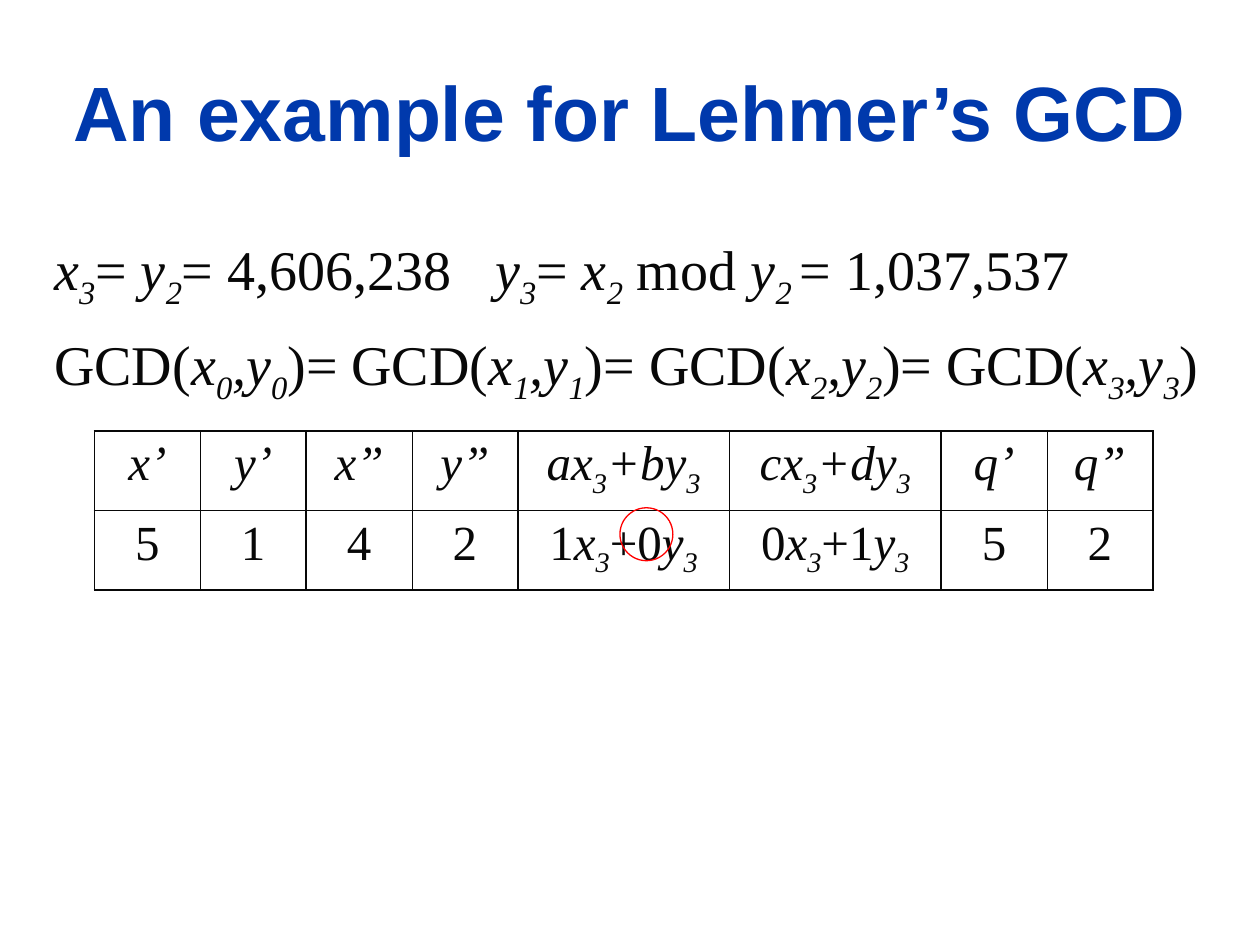
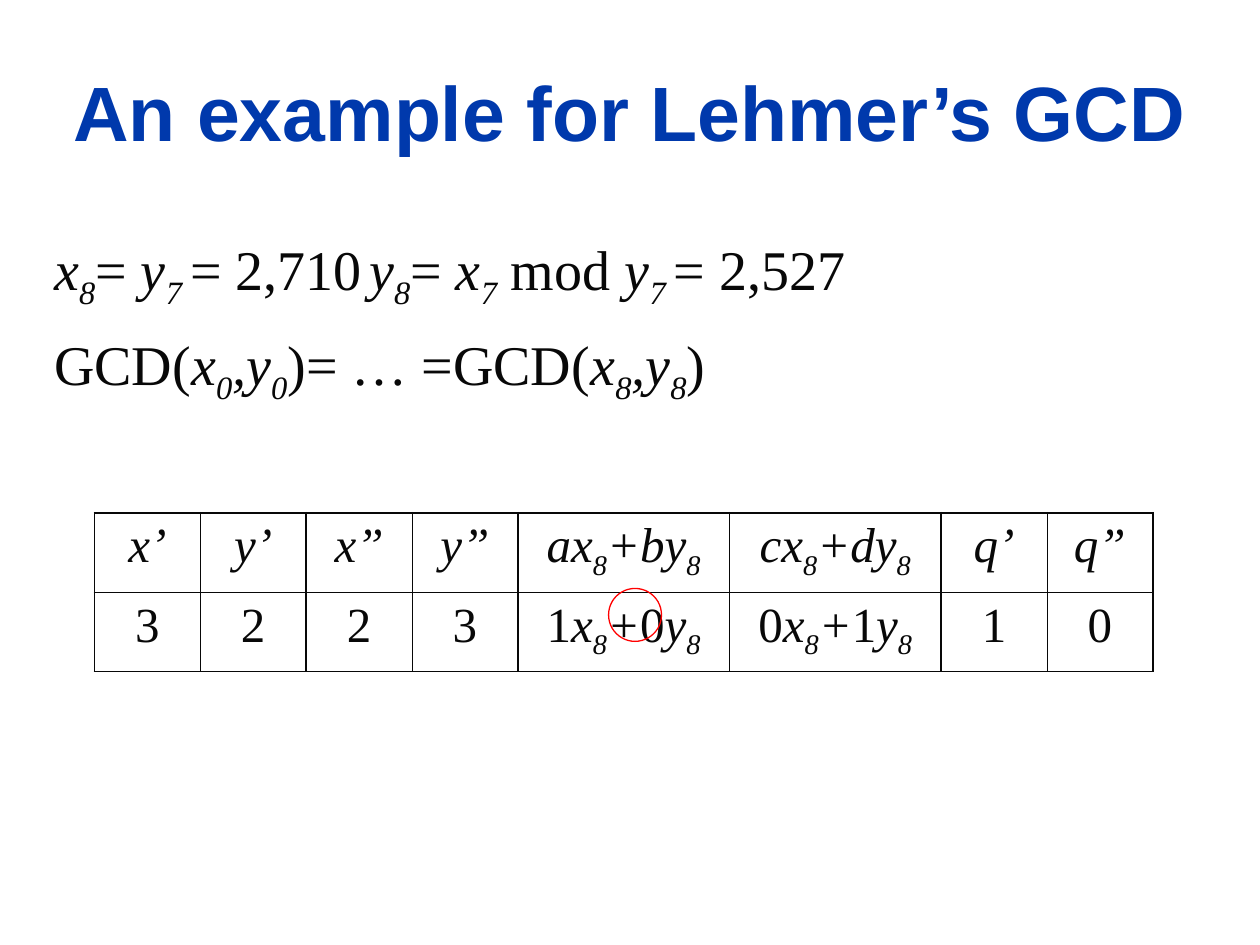
from lxml import etree
from pptx import Presentation
from pptx.dml.color import RGBColor
from pptx.enum.shapes import MSO_SHAPE
from pptx.enum.text import MSO_ANCHOR, MSO_AUTO_SIZE, PP_ALIGN
from pptx.oxml.ns import qn
from pptx.util import Inches, Pt

OVAL = MSO_SHAPE.OVAL
CENTER, LEFT = PP_ALIGN.CENTER, PP_ALIGN.LEFT
MIDDLE, TOP = MSO_ANCHOR.MIDDLE, MSO_ANCHOR.TOP
NO_FIT = MSO_AUTO_SIZE.NONE

COLORS = {"title": "0039AC", "text": "080808", "mark": "FF0000"}
TITLE_FONT, TEXT_FONT = "Arial", "Times New Roman"
TITLE = "An example for Lehmer’s GCD"
TITLE_BOX = (0.33, 0.25, 9.34, 1.25)
BODY_BOX = (0.33, 1.75, 9.34, 4.92)
TABLE_LEFT, ROW_HEIGHT = 0.75, 0.63
COLUMN_WIDTHS = [0.84] * 4 + [1.68] * 2 + [0.84] * 2
CIRCLE_SIZE = 0.42
THICK, THIN = Pt(1.08), Pt(0.45)

# In the markup, *...* is italic and _..._ is an italic subscript.
STEPS = [
    {
        "lines": [
            "*x*_3_= *y*_2_= 4,606,238\t*y*_3_= *x*_2_ mod *y*_2 _= 1,037,537",
            "GCD(*x*_0_*,y*_0_)= GCD(*x*_1_*,y*_1_)= "
            "GCD(*x*_2_*,y*_2_)= GCD(*x*_3_*,y*_3_)",
        ],
        "tab": 3.7,
        "index": 3,
        "values": ["5", "1", "4", "2", "1*x*_3_+0*y*_3_", "0*x*_3_+1*y*_3_", "5", "2"],
        "table_top": 3.42,
        "circle": (4.92, 4.03),
    },
    {
        "lines": [
            "*x*_8_= *y*_7 _= 2,710\t*y*_8_= *x*_7_ mod *y*_7 _= 2,527",
            "GCD(*x*_0_*,y*_0_)= … =GCD(*x*_8_*,y*_8_)",
        ],
        "tab": 2.98,
        "index": 8,
        "values": ["3", "2", "2", "3", "1*x*_8_*+*0*y*_8_", "0*x*_8_*+*1*y*_8_", "1", "0"],
        "table_top": 4.07,
        "circle": (4.83, 4.67),
    },
]


def rgb(name):
    return RGBColor.from_string(COLORS[name])


def place(shape, box):
    shape.left, shape.top, shape.width, shape.height = map(Inches, box)


def style_paragraph(para, font_name, size, color, align):
    para.alignment = align
    para.font.name = font_name
    para.font.size = Pt(size)
    para.font.color.rgb = rgb(color)


def add_span(para, text, italic, subscript=False):
    if not text:
        return
    span = para.add_run()
    span.text = text
    if italic:
        span.font.italic = True
    if subscript:
        span._r.get_or_add_rPr().set("baseline", "-25000")


def add_formula(para, markup):
    """Turn the formula markup into runs."""
    for place_no, piece in enumerate(markup.split("_")):
        if place_no % 2:
            add_span(para, piece, italic=True, subscript=True)
            continue
        for part_no, part in enumerate(piece.split("*")):
            add_span(para, part, italic=part_no % 2 == 1)


def fill_title(title, box):
    place(title, box)
    frame = title.text_frame
    frame.text = TITLE
    frame.vertical_anchor = MIDDLE
    frame.auto_size = NO_FIT
    para = frame.paragraphs[0]
    style_paragraph(para, TITLE_FONT, 44, "title", CENTER)
    para.font.bold = True


def set_plain_tabbed(para, tab):
    """Remove the bullet and indent, and set one left tab stop."""
    props = para._p.get_or_add_pPr()
    props.set("marL", "0")
    props.set("indent", "0")
    etree.SubElement(props, qn("a:buNone"))
    stops = etree.SubElement(props, qn("a:tabLst"))
    etree.SubElement(stops, qn("a:tab"), pos=str(Inches(tab)), algn="l")


def fill_body(body, box, lines, tab):
    place(body, box)
    frame = body.text_frame
    frame.vertical_anchor = TOP
    frame.auto_size = NO_FIT
    for number, line in enumerate(lines):
        para = frame.add_paragraph() if number else frame.paragraphs[0]
        set_plain_tabbed(para, tab)
        para.line_spacing = 1.1
        para.space_before = Pt(6 if number else 0)
        style_paragraph(para, TEXT_FONT, 32, "text", LEFT)
        add_formula(para, line)


def set_borders(cell, widths):
    props = cell._tc.get_or_add_tcPr()
    for number, (side, width) in enumerate(widths.items()):
        line = etree.Element(qn(f"a:ln{side}"), w=str(width))
        fill = etree.SubElement(line, qn("a:solidFill"))
        etree.SubElement(fill, qn("a:srgbClr"), val=COLORS["text"])
        props.insert(number, line)


def add_quotient_table(page, left, top, rows):
    frame = page.shapes.add_table(
        len(rows), len(COLUMN_WIDTHS), Inches(left), Inches(top),
        Inches(sum(COLUMN_WIDTHS)), Inches(ROW_HEIGHT * len(rows)))
    table = frame.table
    table.first_row = table.horz_banding = False
    for column, width in zip(table.columns, COLUMN_WIDTHS):
        column.width = Inches(width)
    for row_no, row in enumerate(rows):
        table.rows[row_no].height = Inches(ROW_HEIGHT)
        for column_no, markup in enumerate(row):
            cell = table.cell(row_no, column_no)
            cell.fill.background()
            para = cell.text_frame.paragraphs[0]
            style_paragraph(para, TEXT_FONT, 28, "text", CENTER)
            add_formula(para, markup)
            opens_pair = column_no % 2 == 0
            set_borders(cell, {
                "L": THICK if opens_pair else THIN,
                "R": THIN if opens_pair else THICK,
                "T": THIN if row_no else THICK,
                "B": THICK if row_no else THIN,
            })


def add_circle(page, left, top):
    circle = page.shapes.add_shape(
        OVAL, Inches(left), Inches(top), Inches(CIRCLE_SIZE), Inches(CIRCLE_SIZE))
    circle.shadow.inherit = False
    circle.fill.background()
    circle.line.color.rgb = rgb("mark")
    circle.line.width = Pt(0.75)


def add_step(deck, step):
    page = deck.slides.add_slide(deck.slide_layouts[1])
    fill_title(page.shapes.title, TITLE_BOX)
    fill_body(page.placeholders[1], BODY_BOX, step["lines"], step["tab"])
    index = step["index"]
    header = ["*x’*", "*y’*", "*x”*", "*y”*", f"*ax*_{index}_*+by*_{index}_",
              f"*cx*_{index}_*+dy*_{index}_", "*q’*", "*q”*"]
    add_quotient_table(page, TABLE_LEFT, step["table_top"], [header, step["values"]])
    add_circle(page, *step["circle"])


def main():
    deck = Presentation()
    deck.slide_width, deck.slide_height = Inches(10), Inches(7.5)
    for step in STEPS:
        add_step(deck, step)
    deck.save("out.pptx")


if __name__ == "__main__":
    main()
